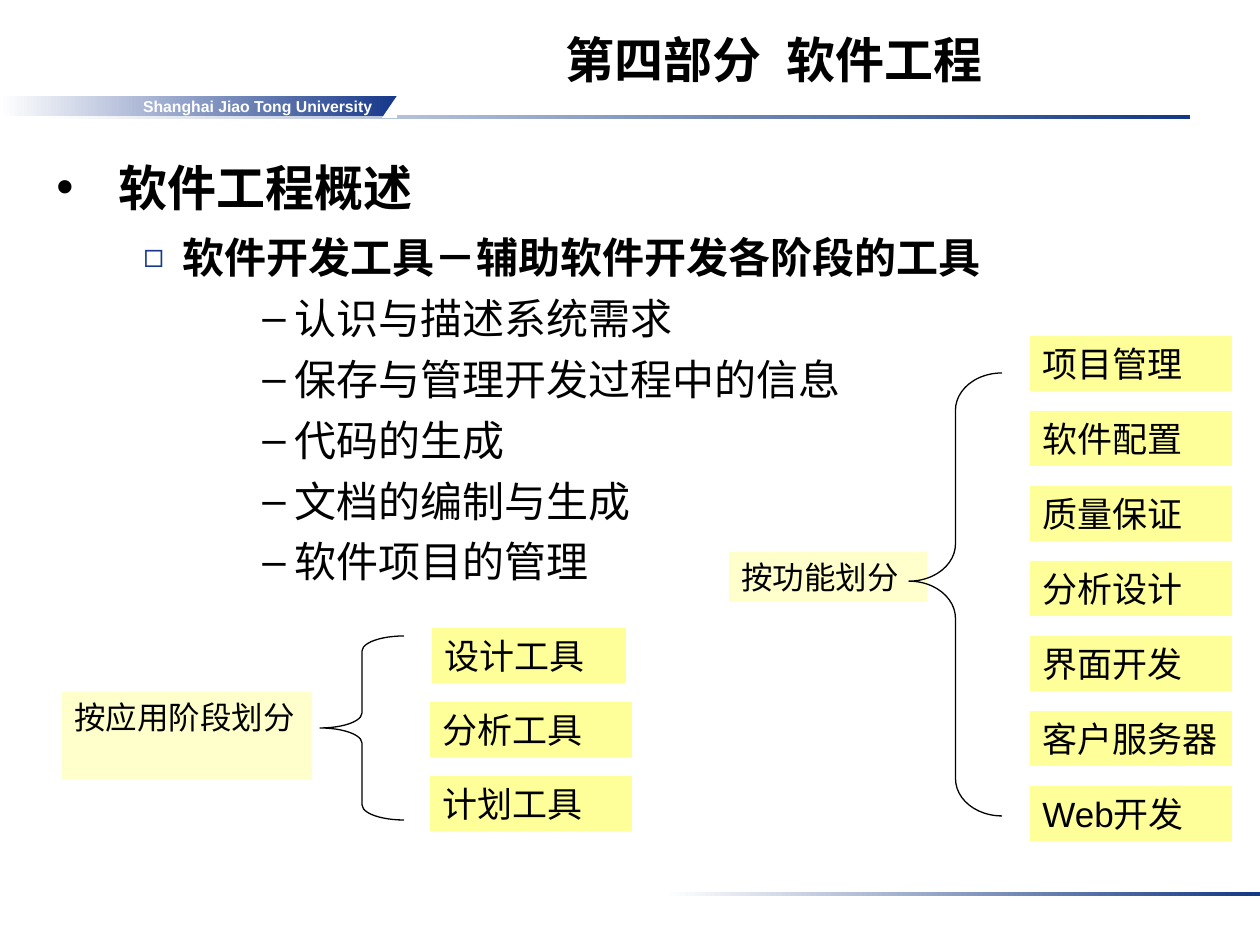
from lxml.etree import SubElement
from pptx import Presentation
from pptx.dml.color import RGBColor
from pptx.enum.shapes import MSO_SHAPE
from pptx.enum.text import MSO_ANCHOR, PP_ALIGN
from pptx.oxml.ns import qn
from pptx.util import Pt

PX = 914400 / 126
COLORS = {
    "black": "000000",
    "white": "FFFFFF",
    "line": "133984",
    "band": "16388A",
    "group": "FFFFCC",
    "tool": "FFFF99",
}
CJK = "Noto Sans CJK SC"


def add_span(para, text, size, font="Arial", color="black", bold=False):
    span = para.add_run()
    span.text = text
    span.font.size = Pt(size)
    span.font.bold = bold
    span.font.color.rgb = RGBColor.from_string(COLORS[color])
    span.font.name = font
    SubElement(span.font._element, qn("a:ea"), typeface=CJK)
    return span


def add_block(kind, left, top, width, height, color=None, fade=None):
    block = deck_shapes.add_shape(kind, *(round(n * PX) for n in (left, top, width, height)))
    block.shadow.inherit = False
    block.line.fill.background()
    if fade:
        block.fill.gradient()
        block.fill.gradient_angle = 0
        for stop, name, position in zip(block.fill.gradient_stops, ("white", fade), (0, 1)):
            stop.color.rgb = RGBColor.from_string(COLORS[name])
            stop.position = position
    elif color:
        block.fill.solid()
        block.fill.fore_color.rgb = RGBColor.from_string(COLORS[color])
    else:
        block.fill.background()
    return block


deck = Presentation()
deck.slide_width, deck.slide_height = round(1260 * PX), round(945 * PX)
page = deck.slides.add_slide(deck.slide_layouts[5])
deck_shapes = page.shapes

# Rules and university band
add_block(MSO_SHAPE.RECTANGLE, 39, 115, 1151, 4, fade="line")
add_block(MSO_SHAPE.RECTANGLE, 665, 892, 595, 4, fade="line")
band = add_block(MSO_SHAPE.RECTANGLE, 0, 96, 397, 20, fade="band")
frame = band.text_frame
frame.word_wrap = False
frame.vertical_anchor = MSO_ANCHOR.MIDDLE
frame.margin_right = round(25 * PX)
para = frame.paragraphs[0]
para.alignment = PP_ALIGN.RIGHT
add_span(para, "Shanghai Jiao Tong University", 9, color="white", bold=True)
corner = add_block(MSO_SHAPE.RIGHT_TRIANGLE, 382, 96, 15, 22, "white")
corner._element.spPr.get_or_add_xfrm().set("flipH", "1")

# Title, with a widened gap between its two parts
title = deck_shapes.title
title.left, title.top, title.width, title.height = (round(n * PX) for n in (326, 0, 896, 95))
title.text_frame.vertical_anchor = MSO_ANCHOR.BOTTOM
para = title.text_frame.paragraphs[0]
para.alignment = PP_ALIGN.CENTER
add_span(para, "第四部分", 28, bold=True)
gap = add_span(para, " ", 28, bold=True)
gap.font._element.set("spc", "780")
add_span(para, "软件工程", 28, bold=True)

# Outline: level -> margin, hanging indent, bullet, bullet colour, bullet size, text size, font
LEVELS = {
    0: (62, 62, "•", "black", 100, 28, "Arial"),
    1: (126, 39, "◻", "band", 80, 24, CJK),
    3: (238, 32, "–", "black", 100, 24, CJK),
}
outline = [
    (0, "软件工程概述"),
    (1, "软件开发工具－辅助软件开发各阶段的工具"),
    (3, "认识与描述系统需求"),
    (3, "保存与管理开发过程中的信息"),
    (3, "代码的生成"),
    (3, "文档的编制与生成"),
    (3, "软件项目的管理"),
]
body = deck_shapes.add_textbox(*(round(n * PX) for n in (44, 145, 1166, 718)))
frame = body.text_frame
frame.word_wrap = True
for index, (level, text) in enumerate(outline):
    margin, hanging, bullet, bullet_color, bullet_size, size, font = LEVELS[level]
    para = frame.add_paragraph() if index else frame.paragraphs[0]
    para.level = level
    props = para._p.get_or_add_pPr()
    props.set("marL", str(round(margin * PX)))
    props.set("indent", str(round(-hanging * PX)))
    SubElement(SubElement(props, qn("a:buClr")), qn("a:srgbClr"), val=COLORS[bullet_color])
    SubElement(props, qn("a:buSzPct"), val=str(bullet_size * 1000))
    SubElement(props, qn("a:buFont"), typeface="Arial")
    SubElement(props, qn("a:buChar"), char=bullet)
    if index:
        para.space_before = Pt(6)
    if level < 3:
        para.line_spacing = 1.1
    add_span(para, text, size, font, bold=level < 3)

# Group labels and tool boxes
labels = [
    ("按应用阶段划分", 62, 692, 250, 88, "group", 18, CJK),
    ("按功能划分", 729, 552, 198, 50, "group", 18, CJK),
    ("设计工具", 432, 628, 194, 55, "tool", 20, "Arial"),
    ("分析工具", 430, 702, 202, 55, "tool", 20, "Arial"),
    ("计划工具", 430, 776, 202, 55, "tool", 20, "Arial"),
]
functions = ["项目管理", "软件配置", "质量保证", "分析设计", "界面开发", "客户服务器", "Web开发"]
for row, text in enumerate(functions):
    labels.append((text, 1030, 336 + 75 * row, 202, 55, "tool", 20, "Arial"))
for text, left, top, width, height, color, size, font in labels:
    box = add_block(MSO_SHAPE.RECTANGLE, left, top, width, height, color)
    box.text_frame.word_wrap = True
    box.text_frame.vertical_anchor = MSO_ANCHOR.TOP
    para = box.text_frame.paragraphs[0]
    para.alignment = PP_ALIGN.LEFT
    add_span(para, text, size, font)

# Braces: position, size, curl and height of the tip
for left, top, width, height, curl, tip in [
    (320, 636, 84, 184, 0.18, 0.5),
    (909, 373, 93, 443, 0.4, 0.47),
]:
    brace = add_block(MSO_SHAPE.LEFT_BRACE, left, top, width, height)
    brace.adjustments[0], brace.adjustments[1] = curl, tip
    brace.line.color.rgb = RGBColor.from_string(COLORS["black"])
    brace.line.width = Pt(0.75)

deck.save("out.pptx")
